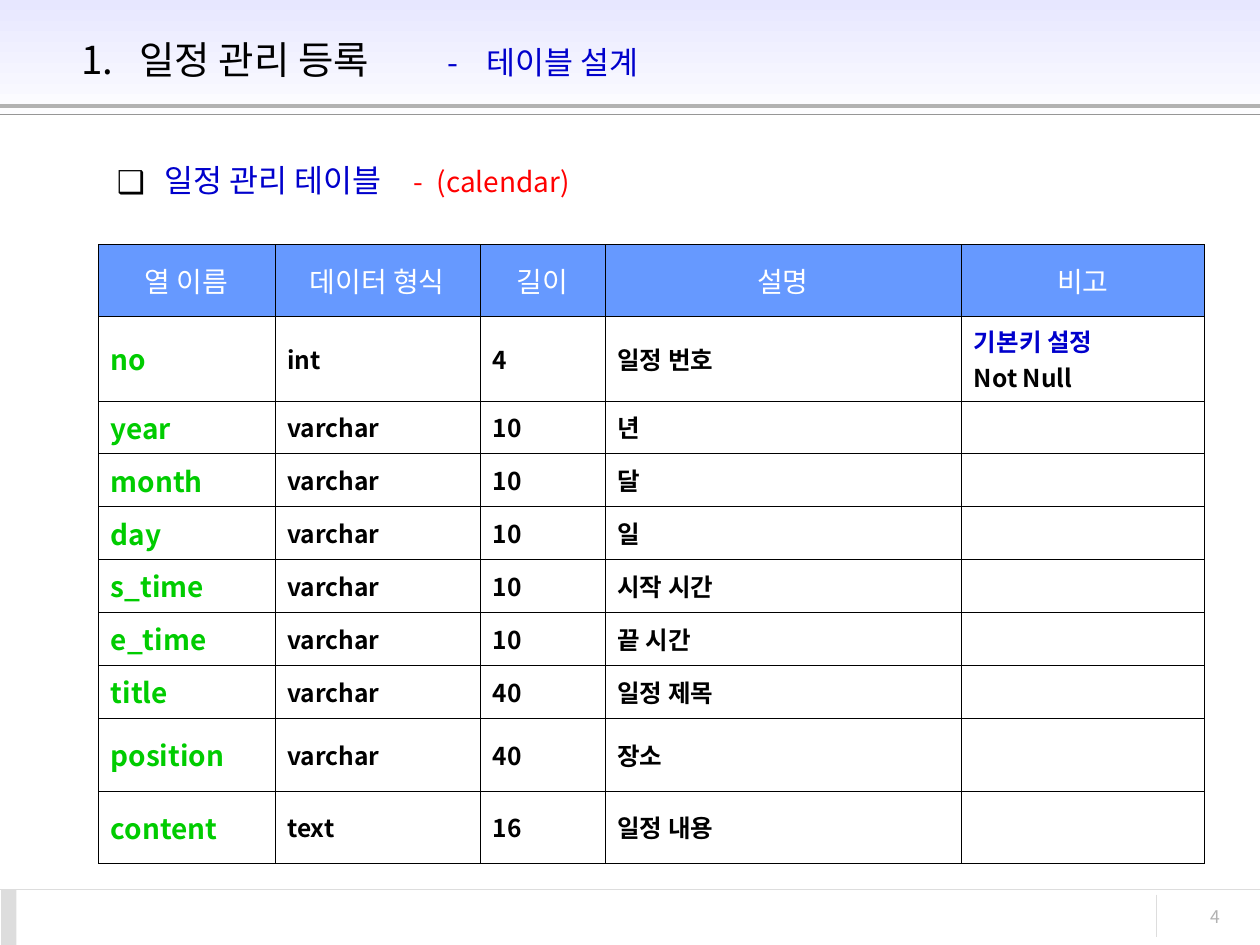
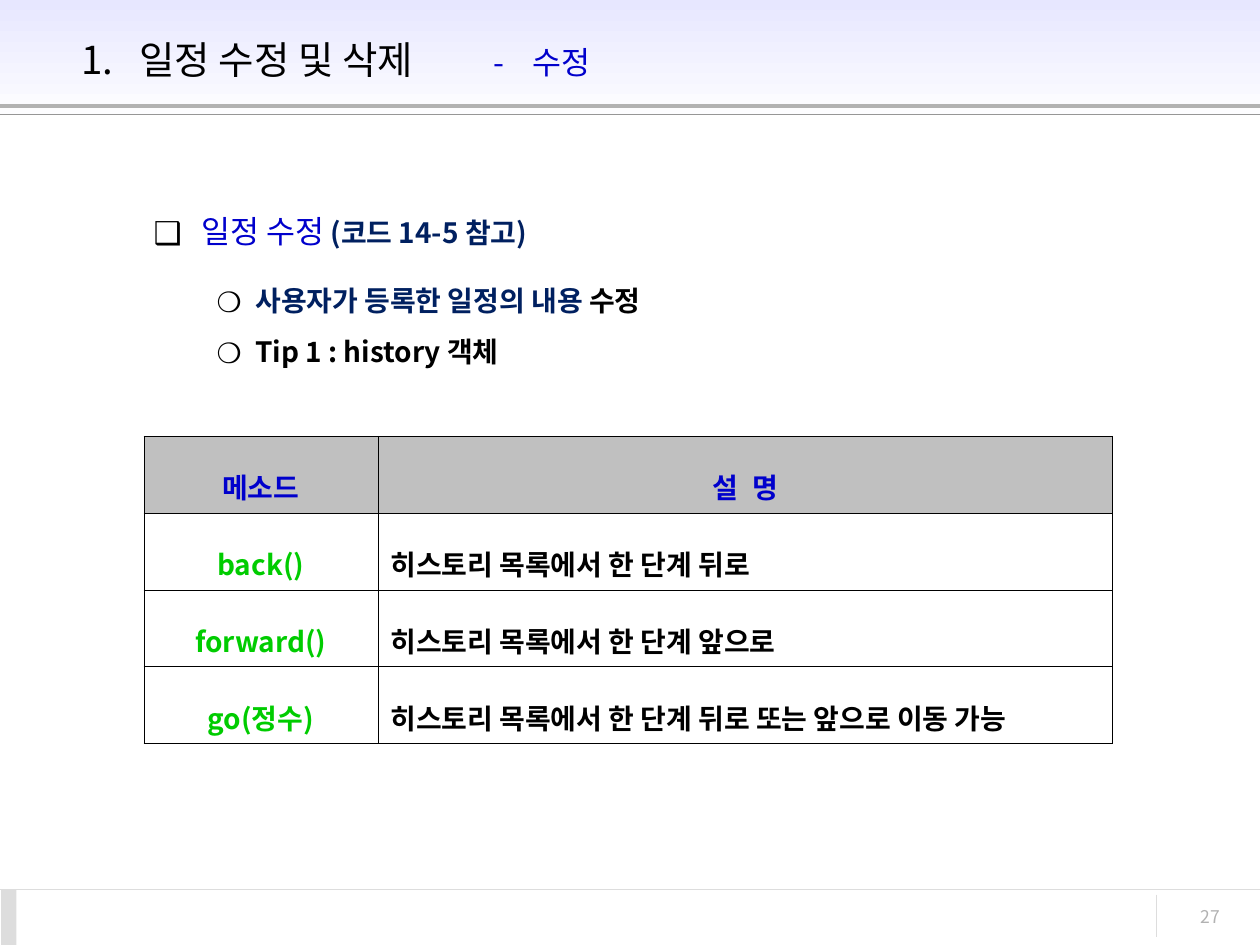
from lxml import etree
from pptx import Presentation
from pptx.dml.color import RGBColor
from pptx.enum.shapes import MSO_CONNECTOR, MSO_SHAPE
from pptx.enum.text import MSO_ANCHOR, PP_ALIGN
from pptx.oxml.ns import qn
from pptx.util import Inches, Pt

STRAIGHT, RECTANGLE = MSO_CONNECTOR.STRAIGHT, MSO_SHAPE.RECTANGLE
MIDDLE, TOP = MSO_ANCHOR.MIDDLE, MSO_ANCHOR.TOP
LEFT, CENTER, RIGHT, JUSTIFY = PP_ALIGN.LEFT, PP_ALIGN.CENTER, PP_ALIGN.RIGHT, PP_ALIGN.JUSTIFY

FONT = "Noto Sans CJK KR"
BLACK, WHITE, BLUE, NAVY = "000000", "FFFFFF", "0000CC", "002060"
GREEN, RED, SKY, SILVER = "00CC00", "FF0000", "6699FF", "C0C0C0"
BAND, RULE, THIN_RULE, PALE = "E7E7FF", "B2B2B2", "969696", "DDDDDD"
EM_GAP, EN_GAP = "\u2003", "\u2002"

# Shared rules: x1, y1, x2, y2, colour, points
RULES = [
    (0, 0.84, 10, 0.84, RULE, 2.24),
    (0, 0.91, 10, 0.91, THIN_RULE, 0.74),
    (0, 7.06, 10, 7.06, PALE, 0.74),
    (9.18, 7.1, 9.18, 7.44, PALE, 0.74),
]

# Content. A text piece is (text, size, colour, bold).
COLUMN_HEADS = ["열 이름", "데이터 형식", "길이", "설명", "비고"]
CALENDAR_FIELDS = [
    ("no", "int", "4", "일정 번호"),
    ("year", "varchar", "10", "년"),
    ("month", "varchar", "10", "달"),
    ("day", "varchar", "10", "일"),
    ("s_time", "varchar", "10", "시작 시간"),
    ("e_time", "varchar", "10", "끝 시간"),
    ("title", "varchar", "40", "일정 제목"),
    ("position", "varchar", "40", "장소"),
    ("content", "text", "16", "일정 내용"),
]
KEY_NOTES = [("기본키 설정", 14, BLUE, True), ("Not Null", 14, BLACK, True)]
METHOD_HEADS = ["메소드", f"설{EN_GAP}명"]
HISTORY_METHODS = [
    ("back()", "히스토리 목록에서 한 단계 뒤로"),
    ("forward()", "히스토리 목록에서 한 단계 앞으로"),
    ("go(정수)", "히스토리 목록에서 한 단계 뒤로 또는 앞으로 이동 가능"),
]
CALENDAR_OUTLINE = [
    (0, [("일정 관리 테이블" + EM_GAP, 18, BLUE, False),
         (f"-{EN_GAP}(calendar)", 16, RED, False)]),
]
EDIT_OUTLINE = [
    (0, [("일정 수정", 18, BLUE, False), (" ", 16, BLACK, False),
         ("(코드 14-5 참고)", 16, NAVY, True)]),
    (1, [("사용자가 등록한 일정의 내용 ", 16, NAVY, True), ("수정", 16, BLACK, True)]),
    (1, [("Tip 1 : history 객체", 16, BLACK, True)]),
]
# Outline levels: bullet, left margin, hanging indent, points after
LEVELS = [("❑", 0.38, 0.38, 10), ("❍", 0.81, 0.31, 0)]


def rgb(value):
    return RGBColor.from_string(value)


def add_child(parent, tag, **attributes):
    return etree.SubElement(parent, qn(tag), attributes)


def write(paragraph, pieces, align=LEFT, spacing=None):
    paragraph.alignment = align
    if spacing:
        paragraph.line_spacing = spacing
    for text, size, colour, bold in pieces:
        run = paragraph.add_run()
        run.text = text
        run.font.size, run.font.bold = Pt(size), bold
        run.font.color.rgb = rgb(colour)
        run.font.name = FONT
        add_child(run.font._element, "a:ea", typeface=FONT)


def add_text(slide, box, anchor=TOP):
    frame = slide.shapes.add_textbox(*map(Inches, box)).text_frame
    frame.word_wrap, frame.vertical_anchor = True, anchor
    return frame


def add_block(slide, box):
    block = slide.shapes.add_shape(RECTANGLE, *map(Inches, box))
    block.shadow.inherit = False
    block.line.fill.background()
    return block


def add_rule(slide, x1, y1, x2, y2, colour, width):
    rule = slide.shapes.add_connector(STRAIGHT, *map(Inches, (x1, y1, x2, y2)))
    rule.line.color.rgb, rule.line.width = rgb(colour), Pt(width)
    add_child(rule._element.spPr, "a:effectLst")


def add_page(deck, number, title, subtitle, dash_tab):
    """Slide with the header band, the footer and the title."""
    slide = deck.slides.add_slide(deck.slide_layouts[6])
    band = add_block(slide, (0, 0, 10, 1))
    band.fill.gradient()
    band.fill.gradient_angle = 270
    for stop, place, colour in zip(band.fill.gradient_stops, (0, 1), (BAND, WHITE)):
        stop.position, stop.color.rgb = place, rgb(colour)
    for rule in RULES:
        add_rule(slide, *rule)
    corner = add_block(slide, (0.01, 7.06, 0.12, 0.44))
    corner.fill.solid()
    corner.fill.fore_color.rgb = rgb(PALE)
    footer = add_text(slide, (8.86, 7.14, 0.92, 0.33))
    write(footer.paragraphs[0], [(str(number), 10, RULE, False)], RIGHT)

    heading = add_text(slide, (0.55, 0.13, 8.63, 0.68), MIDDLE).paragraphs[0]
    write(heading, [(f"1.\t{title}\t", 22, BLACK, False),
                    (f"-\t{subtitle}", 18, BLUE, False)])
    stops = add_child(heading._p.get_or_add_pPr(), "a:tabLst")
    for place in (0.46, dash_tab, dash_tab + 0.31):
        add_child(stops, "a:tab", pos=str(Inches(place)), algn="l")
    return slide


def add_outline(slide, box, items, spacing=None):
    frame = add_text(slide, box)
    for index, (level, pieces) in enumerate(items):
        paragraph = frame.add_paragraph() if index else frame.paragraphs[0]
        write(paragraph, pieces, spacing=spacing)
        bullet, margin, hanging, after = LEVELS[level]
        paragraph.level = level
        paragraph.space_before = Pt(4)
        paragraph.space_after = Pt(after if len(items) > 1 else 0)
        props = paragraph._p.get_or_add_pPr()
        props.set("marL", str(Inches(margin)))
        props.set("indent", str(-Inches(hanging)))
        add_child(add_child(props, "a:buClr"), "a:srgbClr", val=BLACK)
        add_child(props, "a:buFont", typeface=FONT)
        add_child(props, "a:buChar", char=bullet)


def fill_cell(cell, lines, fill, align, spacing, border):
    """One paragraph for each line; an empty cell keeps a small text size."""
    cell.vertical_anchor = MIDDLE
    cell.margin_left = cell.margin_right = Inches(0.1)
    cell.margin_top = cell.margin_bottom = Inches(0.05)
    for index, piece in enumerate(lines):
        paragraph = cell.text_frame.add_paragraph() if index else cell.text_frame.paragraphs[0]
        write(paragraph, [piece], align, spacing)
    if not lines:
        add_child(cell.text_frame.paragraphs[0]._p, "a:endParaRPr", sz="1400")
    props = cell._tc.get_or_add_tcPr()
    for side in ("a:lnL", "a:lnR", "a:lnT", "a:lnB"):
        line = add_child(props, side, w=str(Pt(border)))
        add_child(add_child(line, "a:solidFill"), "a:srgbClr", val=BLACK)
    if fill:
        cell.fill.solid()
        cell.fill.fore_color.rgb = rgb(fill)
    else:
        cell.fill.background()


def add_grid(slide, left, top, widths, heights, rows, head_fill, aligns, border, spacing=None):
    """Table whose first row is a centred, filled head."""
    size = (left, top, sum(widths), sum(heights))
    table = slide.shapes.add_table(len(rows), len(widths), *map(Inches, size)).table
    table.first_row = table.horz_banding = False
    for column, width in zip(table.columns, widths):
        column.width = Inches(width)
    for r, (row, height) in enumerate(zip(rows, heights)):
        table.rows[r].height = Inches(height)
        for c, lines in enumerate(row):
            fill, align = (None, aligns[c]) if r else (head_fill, CENTER)
            fill_cell(table.cell(r, c), lines, fill, align, spacing, border)


deck = Presentation()
deck.slide_width, deck.slide_height = Inches(10), Inches(7.5)

# Table design of the calendar
design = add_page(deck, 4, "일정 관리 등록", "테이블 설계", 2.9)
add_outline(design, (0.83, 1.23, 5.83, 0.63), CALENDAR_OUTLINE)
field_rows = [[[(head, 16, WHITE, False)] for head in COLUMN_HEADS]]
for name, *details in CALENDAR_FIELDS:
    field_rows.append([[(name, 16, GREEN, True)],
                       *[[(text, 14, BLACK, True)] for text in details],
                       KEY_NOTES if name == "no" else []])
add_grid(design, 0.78, 1.94, [1.4, 1.63, 0.99, 2.83, 1.93],
         [0.57, 0.67] + [0.42] * 6 + [0.58, 0.57], field_rows, SKY, [LEFT] * 5, 0.06)

# Editing a schedule
editing = add_page(deck, 27, "일정 수정 및 삭제", "수정", 3.27)
add_outline(editing, (1.12, 1.54, 5.62, 1.73), EDIT_OUTLINE, 1.3)
method_rows = [[[(head, 16, BLUE, True)] for head in METHOD_HEADS]]
for method, meaning in HISTORY_METHODS:
    method_rows.append([[(method, 16, GREEN, True)], [(meaning, 16, BLACK, True)]])
add_grid(editing, 1.14, 3.46, [1.86, 5.83], [0.61] * 4, method_rows,
         SILVER, [CENTER, JUSTIFY], 0.11, 1.6)

deck.save("out.pptx")
